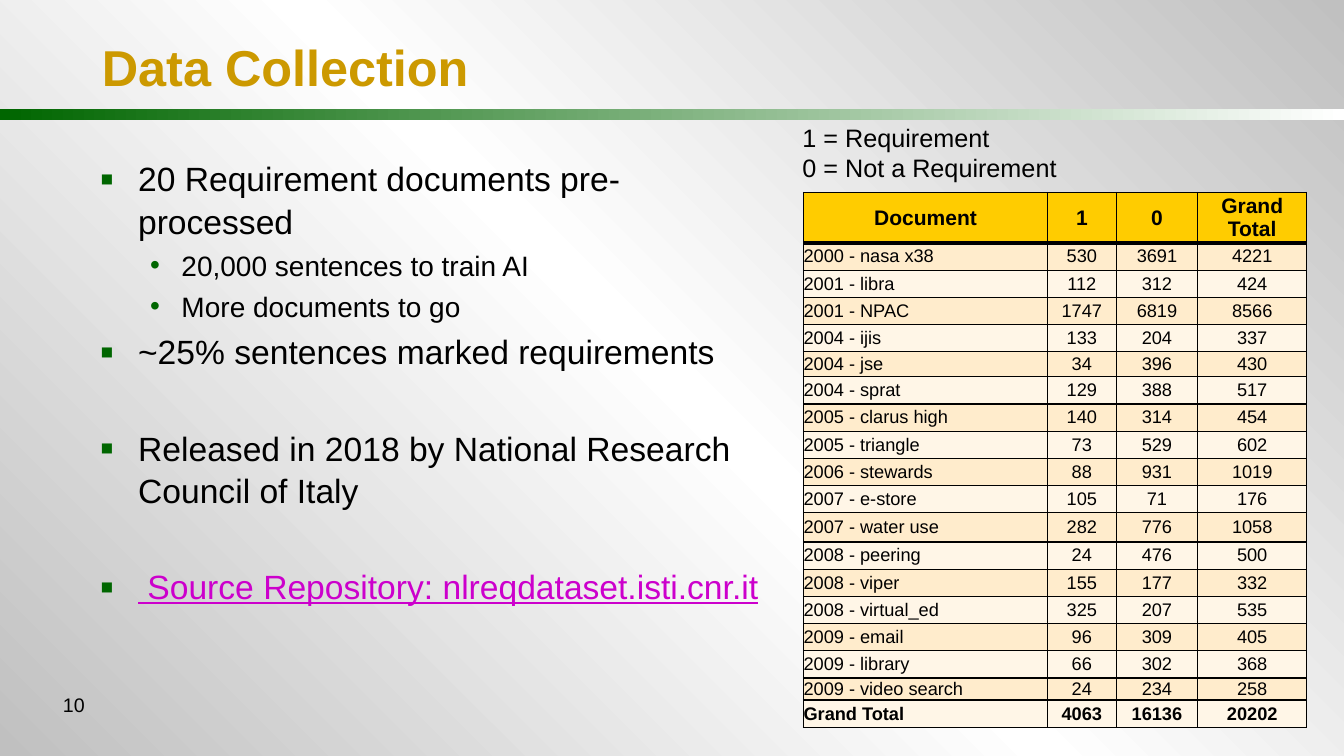
from dataclasses import dataclass

import pptx
import pptx.dml.color
import pptx.enum.shapes
import pptx.enum.text
import pptx.oxml.ns
import pptx.util
from lxml import etree

Inches = pptx.util.Inches
Pt = pptx.util.Pt
qn = pptx.oxml.ns.qn
ALIGN = pptx.enum.text.PP_ALIGN
ANCHOR = pptx.enum.text.MSO_ANCHOR

FONT = "Arial"
BLACK, GREEN, GOLD, MAGENTA = "000000", "006600", "CC9900", "CC00CC"
HEADER_FILL, DARK_BAND, LIGHT_BAND = "FFCC00", "FFECCC", "FFF6E7"


@dataclass(frozen=True)
class Bullet:
    text: str
    level: int = 0
    new_group: bool = False
    color: str = BLACK
    underline: bool = False


@dataclass(frozen=True)
class BulletStyle:
    size: int
    margin: float
    hanging: float
    symbol: str
    symbol_percent: int


BULLET_STYLES = (
    BulletStyle(24, 0.38, 0.38, "▪", 120),
    BulletStyle(20, 0.81, 0.31, "•", 100),
)
GROUP_GAP = 38.5

BULLETS = (
    Bullet("20 Requirement documents pre-processed"),
    Bullet("20,000 sentences to train AI", level=1),
    Bullet("More documents to go", level=1),
    Bullet("~25% sentences marked requirements"),
    Bullet("Released in 2018 by National Research Council of Italy", new_group=True),
    Bullet(" Source Repository: nlreqdataset.isti.cnr.it", new_group=True,
           color=MAGENTA, underline=True),
)

COLUMN_WIDTHS = (2.42, 0.68, 0.81, 1.08)
ROW_HEIGHT = 0.27
SPECIAL_HEIGHTS = {0: 0.5, 5: 0.25, 11: 0.29, 17: 0.22}
COUNTS = (
    ("Document", "1", "0", "Grand Total"),
    ("2000 - nasa x38", 530, 3691, 4221),
    ("2001 - libra", 112, 312, 424),
    ("2001 - NPAC", 1747, 6819, 8566),
    ("2004 - ijis", 133, 204, 337),
    ("2004 - jse", 34, 396, 430),
    ("2004 - sprat", 129, 388, 517),
    ("2005 - clarus high", 140, 314, 454),
    ("2005 - triangle", 73, 529, 602),
    ("2006 - stewards", 88, 931, 1019),
    ("2007 - e-store", 105, 71, 176),
    ("2007 - water use", 282, 776, 1058),
    ("2008 - peering", 24, 476, 500),
    ("2008 - viper", 155, 177, 332),
    ("2008 - virtual_ed", 325, 207, 535),
    ("2009 - email", 96, 309, 405),
    ("2009 - library", 66, 302, 368),
    ("2009 - video search", 24, 234, 258),
    ("Grand Total", 4063, 16136, 20202),
)


def rgb(value: str) -> pptx.dml.color.RGBColor:
    return pptx.dml.color.RGBColor.from_string(value)


def place(shape, left: float, top: float, width: float, height: float) -> None:
    shape.left, shape.top = Inches(left), Inches(top)
    shape.width, shape.height = Inches(width), Inches(height)


def set_font(paragraph, size: int, color: str = BLACK, bold: bool = False) -> None:
    font = paragraph.font
    font.name, font.size, font.bold = FONT, Pt(size), bold
    font.color.rgb = rgb(color)


def fill_gradient(fill, owner, colors: tuple[str, ...], angle: int) -> None:
    """Spread the colours evenly; the angle runs counter-clockwise."""
    fill.gradient()
    fill.gradient_angle = angle
    stops = owner.find(".//" + qn("a:gsLst"))
    for stop in list(stops):
        stops.remove(stop)
    for index, color in enumerate(colors):
        position = str(100000 * index // (len(colors) - 1))
        stop = etree.SubElement(stops, qn("a:gs"), pos=position)
        etree.SubElement(stop, qn("a:srgbClr"), val=color)


def add_divider(slide) -> None:
    divider = slide.shapes.add_shape(
        pptx.enum.shapes.MSO_SHAPE.RECTANGLE,
        Inches(0), Inches(1.08), Inches(13.33), Inches(0.11))
    divider.shadow.inherit = False
    divider.line.fill.background()
    fill_gradient(divider.fill, divider.element, (GREEN, "FFFFFF"), 0)
    divider.element.getparent().insert(2, divider.element)


def add_title(slide) -> None:
    title = slide.shapes.title
    place(title, 0.91, 0.09, 11.89, 1.14)
    frame = title.text_frame
    frame.text = "Data Collection"
    frame.auto_size = pptx.enum.text.MSO_AUTO_SIZE.NONE
    frame.vertical_anchor = ANCHOR.MIDDLE
    frame.paragraphs[0].alignment = ALIGN.LEFT
    set_font(frame.paragraphs[0], 36, GOLD, bold=True)


def set_bullet(paragraph, style: BulletStyle) -> None:
    properties = paragraph._p.get_or_add_pPr()
    properties.set("marL", str(Inches(style.margin)))
    properties.set("indent", str(-Inches(style.hanging)))
    color = etree.Element(qn("a:buClr"))
    etree.SubElement(color, qn("a:srgbClr"), val=GREEN)
    size = etree.Element(qn("a:buSzPct"), val=str(style.symbol_percent * 1000))
    face = etree.Element(qn("a:buFont"), typeface=FONT)
    symbol = etree.Element(qn("a:buChar"), char=style.symbol)
    defaults = properties.find(qn("a:defRPr"))
    for part in (color, size, face, symbol):
        defaults.addprevious(part)


def add_findings(slide) -> None:
    body = slide.placeholders[1]
    place(body, 0.89, 1.5, 6.87, 5.19)
    frame = body.text_frame
    frame.auto_size = pptx.enum.text.MSO_AUTO_SIZE.NONE
    for index, bullet in enumerate(BULLETS):
        style = BULLET_STYLES[bullet.level]
        paragraph = frame.add_paragraph() if index else frame.paragraphs[0]
        paragraph.text, paragraph.level = bullet.text, bullet.level
        paragraph.line_spacing = 1.05
        paragraph.space_before = Pt(GROUP_GAP if bullet.new_group else style.size * 0.2)
        set_font(paragraph, style.size, bullet.color)
        paragraph.font.underline = bullet.underline
        set_bullet(paragraph, style)


def add_text(slide, box: tuple[float, float, float, float], lines: tuple[str, ...],
             size: int, align: ALIGN) -> None:
    frame = slide.shapes.add_textbox(*map(Inches, box)).text_frame
    frame.word_wrap = True
    for index, line in enumerate(lines):
        paragraph = frame.add_paragraph() if index else frame.paragraphs[0]
        paragraph.text, paragraph.alignment = line, align
        set_font(paragraph, size)


def set_borders(cell, top: int, bottom: int) -> None:
    properties = cell._tc.get_or_add_tcPr()
    for side, width in (("L", 1), ("R", 1), ("T", top), ("B", bottom)):
        line = etree.SubElement(properties, qn(f"a:ln{side}"), w=str(Pt(width)))
        solid = etree.SubElement(line, qn("a:solidFill"))
        etree.SubElement(solid, qn("a:srgbClr"), val=BLACK)


def add_counts(slide) -> None:
    heights = [SPECIAL_HEIGHTS.get(row, ROW_HEIGHT) for row in range(len(COUNTS))]
    table = slide.shapes.add_table(
        len(COUNTS), len(COLUMN_WIDTHS), Inches(7.97), Inches(1.91),
        Inches(sum(COLUMN_WIDTHS)), Inches(sum(heights))).table
    for column, width in zip(table.columns, COLUMN_WIDTHS):
        column.width = Inches(width)
    for row, (values, height) in enumerate(zip(COUNTS, heights)):
        table.rows[row].height = Inches(height)
        header = row == 0
        fill = HEADER_FILL if header else (LIGHT_BAND, DARK_BAND)[row % 2]
        for column, value in enumerate(values):
            cell = table.cell(row, column)
            cell.text = str(value)
            cell.margin_left = cell.margin_right = cell.margin_top = cell.margin_bottom = 0
            cell.vertical_anchor = ANCHOR.MIDDLE
            set_borders(cell, top=3 if row == 1 else 1, bottom=3 if header else 1)
            cell.fill.solid()
            cell.fill.fore_color.rgb = rgb(fill)
            paragraph = cell.text_frame.paragraphs[0]
            paragraph.alignment = ALIGN.CENTER if header or column else ALIGN.LEFT
            set_font(paragraph, 15 if header else 13,
                     bold=header or row == len(COUNTS) - 1)


def main() -> None:
    deck = pptx.Presentation()
    deck.slide_width, deck.slide_height = Inches(13.33), Inches(7.5)
    slide = deck.slides.add_slide(deck.slide_layouts[1])
    fill_gradient(slide.background.fill, slide.element, ("C0C0C0", "FFFFFF", "C0C0C0"), 45)
    add_divider(slide)
    add_title(slide)
    add_findings(slide)
    add_text(slide, (0.26, 6.83, 0.68, 0.5), ("10",), 14, ALIGN.RIGHT)
    add_counts(slide)
    add_text(slide, (7.86, 1.16, 4.15, 0.71),
             ("1 = Requirement", "0 = Not a Requirement"), 18, ALIGN.LEFT)
    deck.save("out.pptx")


if __name__ == "__main__":
    main()
